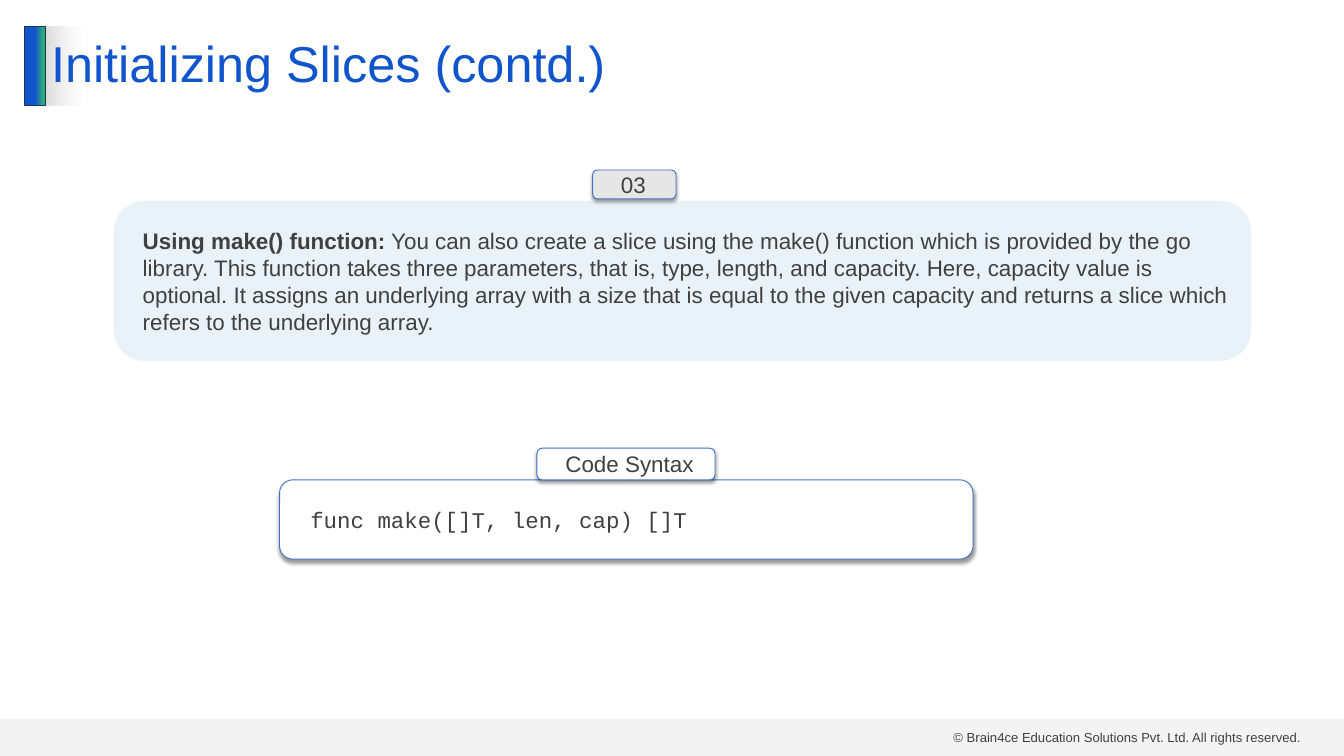
from dataclasses import dataclass

from lxml import etree
from pptx import Presentation, util as u
from pptx.dml.color import RGBColor
from pptx.enum import shapes, text
from pptx.oxml.ns import qn


@dataclass(frozen=True)
class Theme:
    blue: str = "1155CC"
    green: str = "2EA87D"
    navy: str = "1E3256"
    edge: str = "4472C4"
    ink: str = "404040"
    gray: str = "D9D9D9"
    tag: str = "E7E6E6"
    pale: str = "DEEBF7"
    white: str = "FFFFFF"
    black: str = "000000"
    sans: str = "Arial"
    mono: str = "Courier New"
    head: int = 54
    body: int = 24
    foot: int = 14


def add_color(parent, color, alpha=100):
    node = etree.SubElement(parent, qn("a:srgbClr"), val=color)
    if alpha < 100:
        etree.SubElement(node, qn("a:alpha"), val=str(alpha * 1000))


class Deck:
    def __init__(self, theme):
        self.theme = theme
        self.file = Presentation()
        self.file.slide_width = u.Inches(20)
        self.file.slide_height = u.Inches(11.25)
        self.slide = self.file.slides.add_slide(self.file.slide_layouts[5])

    def paint(self, shape, color, alpha=100):
        shape.fill.solid()
        shape.fill.fore_color.rgb = RGBColor.from_string(color)
        if alpha < 100:
            solid = shape._element.spPr.find(qn("a:solidFill"))
            solid.clear()
            add_color(solid, color, alpha)

    def blend(self, shape, stops):
        """Fill from left to right; each stop is (percent, color, alpha)."""
        shape.fill.solid()
        props = shape._element.spPr
        grad = etree.Element(qn("a:gradFill"), rotWithShape="1")
        group = etree.SubElement(grad, qn("a:gsLst"))
        for spot, color, alpha in stops:
            stop = etree.SubElement(group, qn("a:gs"), pos=str(spot * 1000))
            add_color(stop, color, alpha)
        etree.SubElement(grad, qn("a:lin"), ang="0", scaled="0")
        props.replace(props.find(qn("a:solidFill")), grad)

    def shade(self, shape):
        effects = shape._element.spPr.find(qn("a:effectLst"))
        drop = etree.SubElement(
            effects, qn("a:outerShdw"), blurRad=str(u.Pt(4)), dist=str(u.Pt(3)),
            dir="5400000", algn="t", rotWithShape="0")
        add_color(drop, self.theme.black, 40)

    def place(self, shape, box):
        shape.left, shape.top, shape.width, shape.height = map(u.Inches, box)

    def add_text(self, shape, runs, size, color, font=None):
        """Each run is (words, bold)."""
        frame = shape.text_frame
        frame.word_wrap = True
        frame.vertical_anchor = text.MSO_ANCHOR.MIDDLE
        para = frame.paragraphs[0]
        para.alignment = text.PP_ALIGN.LEFT
        for words, bold in runs:
            run = para.add_run()
            run.text = words
            run.font.name = font or self.theme.sans
            run.font.size = u.Pt(size)
            run.font.bold = bold
            run.font.color.rgb = RGBColor.from_string(color)
        return para

    def block(self, box, line=None, kind=shapes.MSO_SHAPE.RECTANGLE):
        shape = self.slide.shapes.add_shape(kind, *map(u.Inches, box))
        shape.shadow.inherit = False
        if line:
            shape.line.color.rgb = RGBColor.from_string(line)
            shape.line.width = u.Pt(1)
        else:
            shape.line.fill.background()
        return shape

    def title(self, words, box):
        look = self.theme
        shape = self.slide.shapes.title
        self.place(shape, box)
        self.blend(shape, [(0, look.gray, 100), (3, look.white, 50)])
        para = self.add_text(shape, [(words, False)], look.head, look.blue)
        para.line_spacing = 0.9

    def label(self, words, box):
        shape = self.slide.shapes.add_textbox(*map(u.Inches, box))
        self.add_text(shape, [(words, False)], self.theme.foot, self.theme.ink)

    def card(self, runs, box, fill, alpha=100, raised=True, curve=None,
             inset=0.2, font=None):
        look = self.theme
        shape = self.block(box, look.edge if raised else None,
                           shapes.MSO_SHAPE.ROUNDED_RECTANGLE)
        if curve:
            shape.adjustments[0] = curve
        self.paint(shape, fill, alpha)
        if raised:
            self.shade(shape)
        frame = shape.text_frame
        frame.margin_left = frame.margin_right = u.Inches(inset)
        frame.margin_top = frame.margin_bottom = 0
        para = self.add_text(shape, runs, look.body, look.ink, font)
        props = para._p.get_or_add_pPr()
        props.set("marL", str(u.Inches(0.2)))
        props.set("indent", "0")


def main():
    look = Theme()
    deck = Deck(look)

    # Title with its accent bar
    deck.title("Initializing Slices (contd.)", (0.66, 0.39, 18.67, 1.18))
    bar = deck.block((0.37, 0.39, 0.3, 1.18), look.navy)
    deck.blend(bar, [(51, look.blue, 100), (90, look.green, 100),
                     (100, look.green, 100)])

    # Footer band
    band = deck.block((0, 10.7, 20, 0.55))
    deck.paint(band, look.gray, 29)
    deck.label("© Brain4ce Education Solutions Pvt. Ltd. All rights reserved.",
               (14.09, 10.8, 5.45, 0.34))

    # Method and its number
    about = (
        " You can also create a slice using the make() function which is "
        "provided by the go library. This function takes three parameters, "
        "that is, type, length, and capacity. Here, capacity value is "
        "optional. It assigns an underlying array with a size that is equal "
        "to the given capacity and returns a slice which refers to the "
        "underlying array.")
    deck.card([("Using make() function:", True), (about, False)],
              (1.69, 2.99, 16.93, 2.38), look.pale, alpha=66, raised=False,
              curve=0.195, inset=0.1)
    deck.card([("03", False)], (8.82, 2.53, 1.24, 0.43), look.tag)

    # Code and its caption
    deck.card([("func make([]T, len, cap) []T", False)],
              (4.16, 7.14, 10.32, 1.18), look.white, font=look.mono)
    deck.card([("Code Syntax", False)], (7.99, 6.67, 2.65, 0.47), look.white)

    deck.file.save("out.pptx")


if __name__ == "__main__":
    main()
